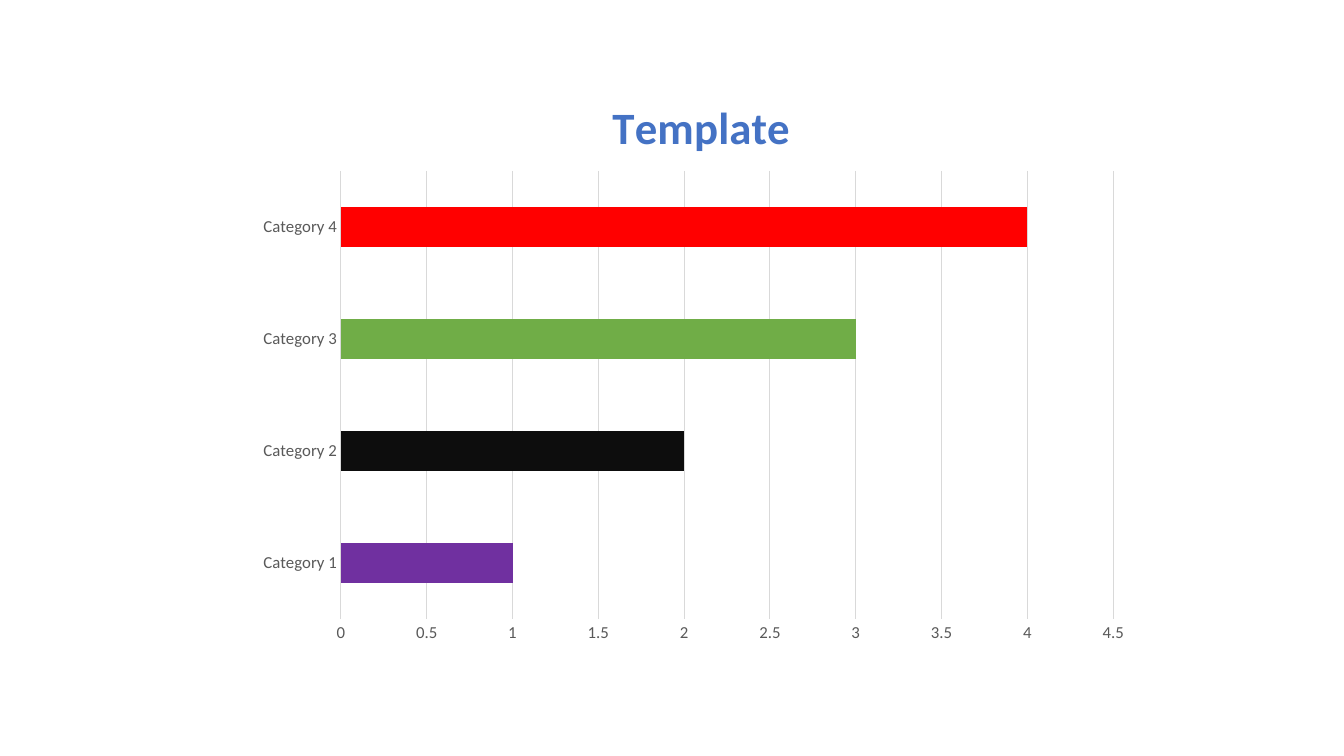
from lxml import etree
from pptx import Presentation
from pptx import util as u
from pptx.chart import data
from pptx.dml.color import RGBColor
from pptx.enum import chart as kinds
from pptx.oxml import ns

Pt = u.Pt
HUES = {"title": "4472C4", "label": "595959", "grid": "D9D9D9"}
BARS = {
    "Category 1": (1, "7030A0"),
    "Category 2": (2, "0D0D0D"),
    "Category 3": (3, "70AD47"),
    "Category 4": (4, "FF0000"),
}


class Deck:
    """Hold the style and the current slide, and add elements to it."""

    def __init__(self, show, face="Calibri"):
        self.face = face
        self.slide = show.slides.add_slide(show.slide_layouts[6])

    def style(self, font, size, hue, bold=False):
        font.name, font.size, font.bold = self.face, Pt(size), bold
        font.color.rgb = RGBColor.from_string(hue)

    def line(self, form):
        form.line.color.rgb = RGBColor.from_string(HUES["grid"])
        form.line.width = Pt(0.75)

    def place(self, node, **spots):
        old = node.find(ns.qn("c:layout"))
        lay = etree.Element(ns.qn("c:layout")) if old is None else old
        if old is None:
            spot = node.find(ns.qn("c:tx"))
            node.insert(0 if spot is None else node.index(spot) + 1, lay)
        form = etree.SubElement(lay, ns.qn("c:manualLayout"))
        if "w" in spots:
            etree.SubElement(form, ns.qn("c:layoutTarget")).set("val", "inner")
        for key in "xy":
            etree.SubElement(form, ns.qn(f"c:{key}Mode")).set("val", "edge")
        for key, val in spots.items():
            etree.SubElement(form, ns.qn(f"c:{key}")).set("val", str(val))

    def title(self, chart, words):
        chart.has_title = True
        para = chart.chart_title.text_frame.paragraphs[0]
        para.text = words
        self.style(para.font, 32, HUES["title"], True)
        chart.chart_title.include_in_layout = False
        self.place(chart.chart_title._element, x=0.4, y=0.05)

    def axes(self, chart):
        for axis in (chart.category_axis, chart.value_axis):
            axis.major_tick_mark = axis.minor_tick_mark = kinds.XL_TICK_MARK.NONE
            self.style(axis.tick_labels.font, 12, HUES["label"])
        chart.category_axis.has_major_gridlines = False
        self.line(chart.category_axis.format)
        scale = chart.value_axis
        scale.minimum_scale, scale.maximum_scale, scale.major_unit = 0, 4.5, 0.5
        scale.tick_labels.number_format = "General"
        scale.tick_labels.number_format_is_linked = False
        scale.format.line.fill.background()
        self.line(scale.major_gridlines.format)

    def chart(self, box, words, bars):
        feed = data.CategoryChartData()
        feed.categories = list(bars)
        feed.add_series("Series 1", [val for val, hue in bars.values()])
        chart = self.slide.shapes.add_chart(
            kinds.XL_CHART_TYPE.BAR_CLUSTERED, *map(Pt, box), feed).chart
        self.style(chart.font, 10, "000000")
        chart.has_legend = False
        self.title(chart, words)
        self.axes(chart)
        plot = chart.plots[0]
        plot.gap_width, plot.vary_by_categories = 182, False
        row = plot.series[0]
        row.format.fill.solid()
        row.format.fill.fore_color.rgb = RGBColor.from_string(HUES["title"])
        for spot, (val, hue) in enumerate(bars.values()):
            fill = row.points[spot].format.fill
            fill.solid()
            fill.fore_color.rgb = RGBColor.from_string(hue)
        area = chart._chartSpace.find(".//" + ns.qn("c:plotArea"))
        self.place(area, x=0.106, y=0.188, w=0.862, h=0.75)


show = Presentation()
show.slide_width, show.slide_height = Pt(960), Pt(540)
deck = Deck(show)
deck.chart((175.68, 41.76, 640, 427), "Template", BARS)
show.save("out.pptx")
